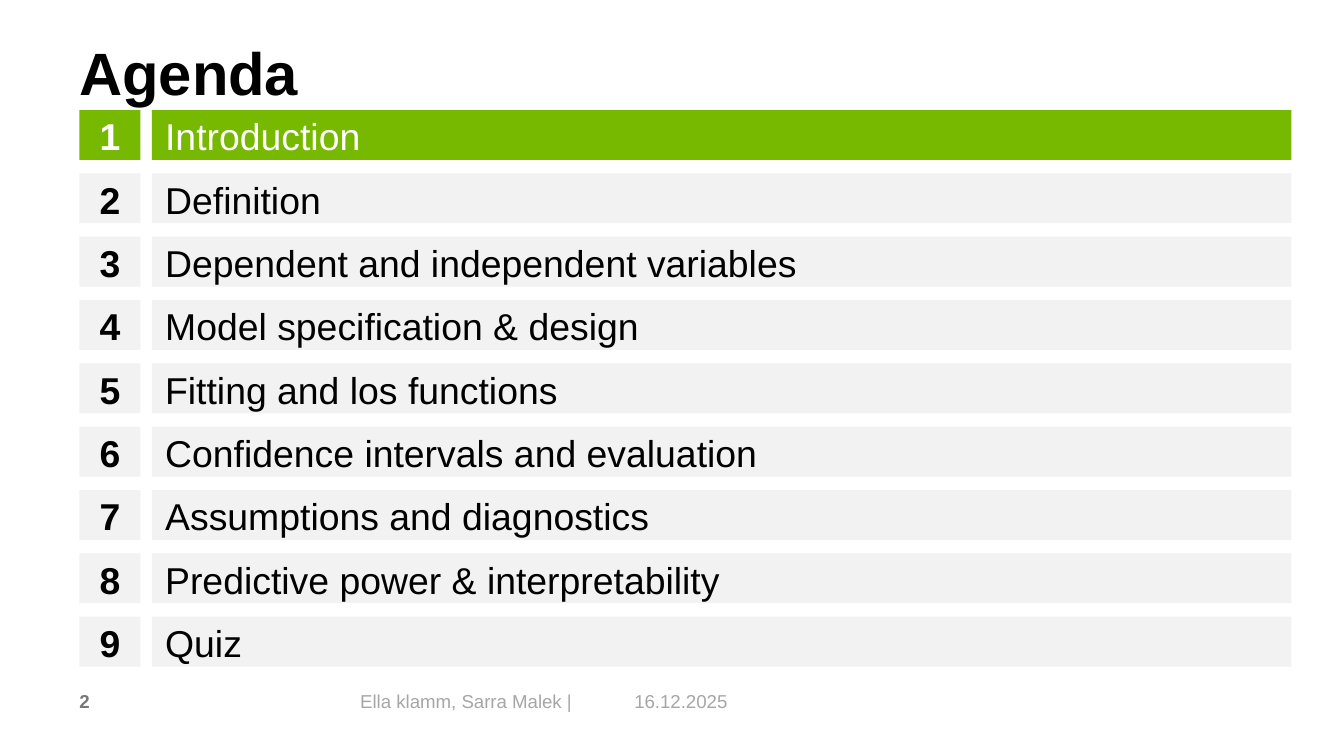
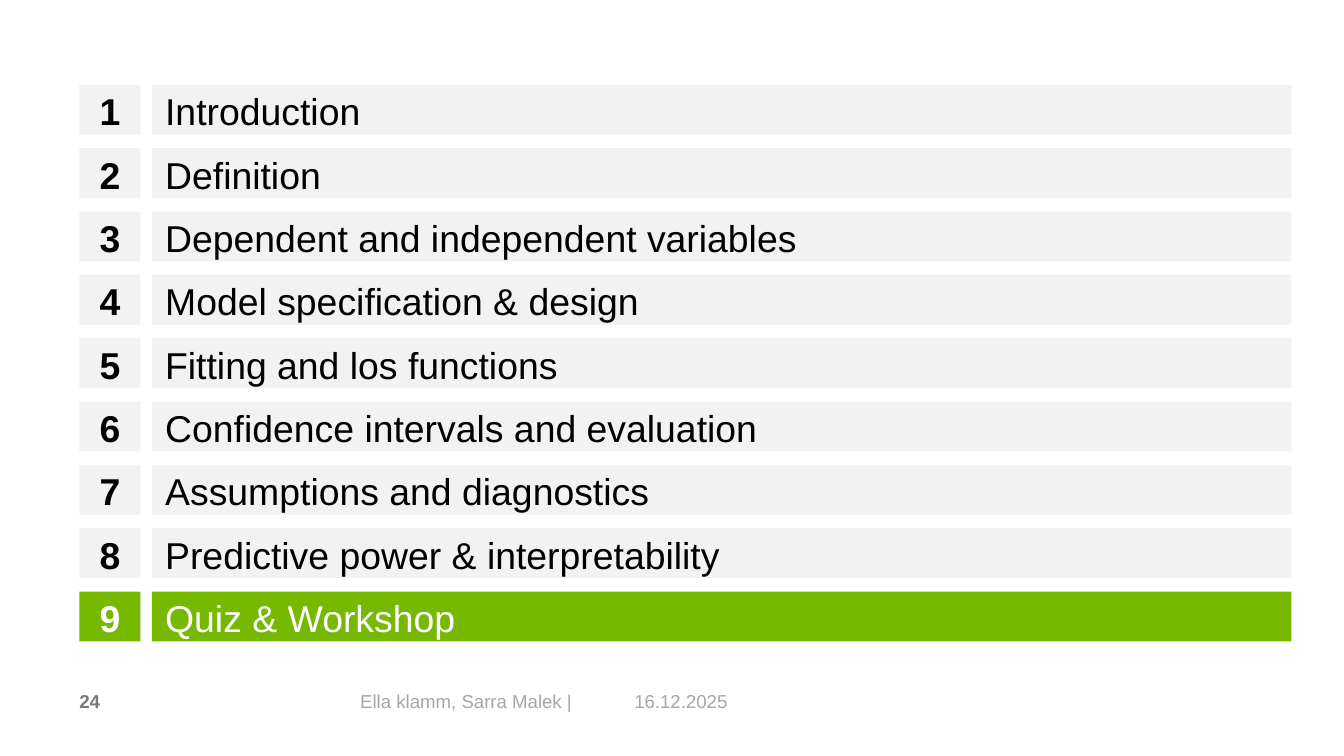
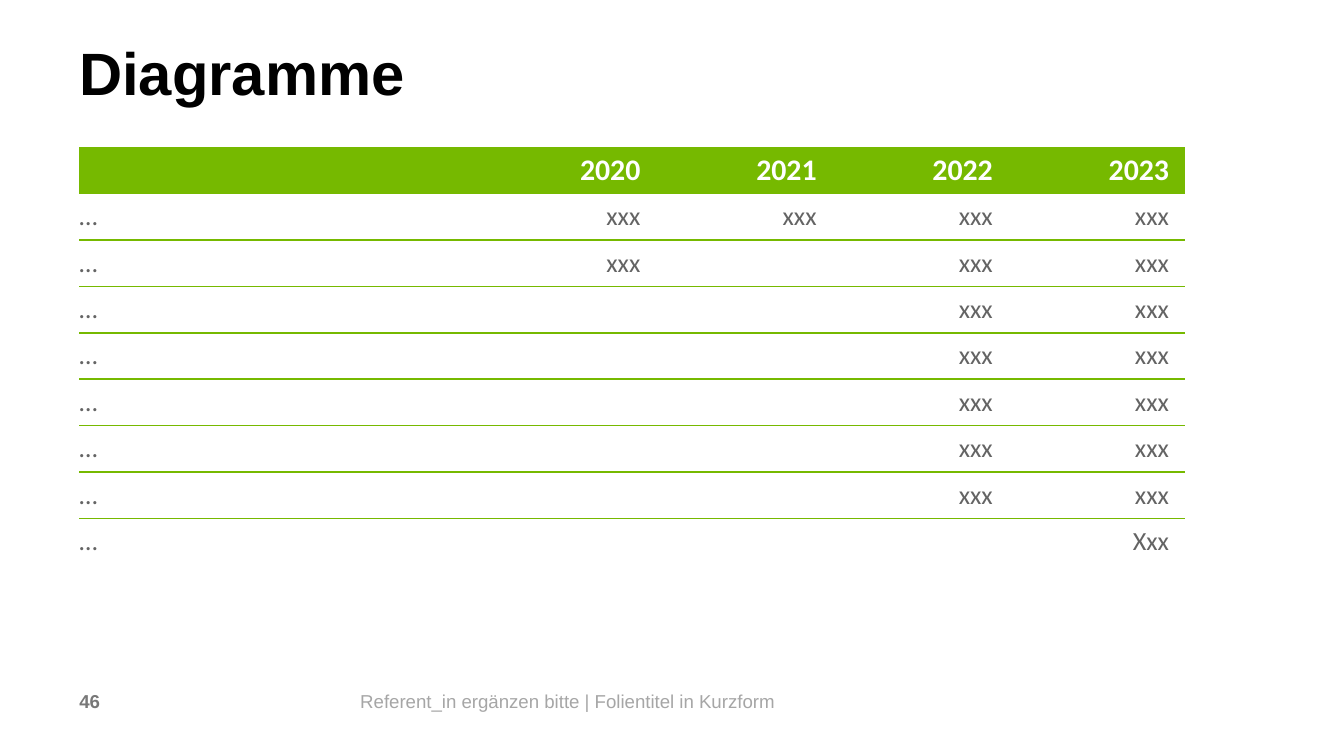
from dataclasses import dataclass
from typing import Any

from lxml.etree import SubElement
from pptx import Presentation
from pptx.dml.color import RGBColor
from pptx.enum.shapes import MSO_SHAPE as Preset
from pptx.enum.text import MSO_ANCHOR as Anchor, MSO_AUTO_SIZE as AutoSize, PP_ALIGN as Align
from pptx.oxml import parse_xml
from pptx.oxml.ns import nsdecls, qn
from pptx.util import Pt

GREEN, PALE = "76B900", "F2F2F2"
WHITE, BLACK = "FFFFFF", "000000"
LEFT = 42.5
PLAIN_TABLE = "{2D5ABB26-0587-4C30-8999-92F81FD0307C}"

TITLE = {"size": Pt(32), "name": "Arial", "bold": True, "color": BLACK}
PAGE_NUMBER = {"size": Pt(10), "name": "Arial", "bold": True, "color": "787878"}
FOOTER = {"size": Pt(10), "name": "Arial", "bold": False, "color": "A6A6A6"}
AGENDA = {"size": Pt(20), "name": "Arial"}
TABLE_HEAD = {"size": Pt(16), "name": "Calibri", "bold": True, "color": WHITE}
TABLE_BODY = {"size": Pt(14), "name": "Calibri", "bold": False, "color": "646464"}

TOPICS = [
    "Introduction",
    "Definition",
    "Dependent and independent variables",
    "Model specification & design",
    "Fitting and los functions",
    "Confidence intervals and evaluation",
    "Assumptions and diagnostics",
    "Predictive power & interpretability",
]
AUTHORS = "Ella klamm, Sarra Malek |\t16.12.2025"
DATE_TAB = 146.8


@dataclass(frozen=True)
class Area:
    left: float
    top: float
    width: float
    height: float

    def lengths(self) -> list[Pt]:
        return [Pt(value) for value in (self.left, self.top, self.width, self.height)]


@dataclass(frozen=True)
class Agenda:
    top: float
    topics: list[str]
    current: int


TITLE_AREA = Area(LEFT, 23.8, 592.6, 35.2)
NUMBER_AREA = Area(LEFT, 369.4, 136, 14.4)
FOOTER_AREA = Area(193, 369.4, 432, 14.4)
ROW_STEP, ROW_HEIGHT = 33.93, 26.7
NUMBER_WIDTH, TOPIC_LEFT, TOPIC_WIDTH = 32.8, 81.4, 610.4

TABLE_AREA = Area(LEFT, 78.8, 592.4, 223.92)
COLUMN_WIDTHS = [214.8] + [94.4] * 4
TABLE_ROWS = [
    ["", "2020", "2021", "2022", "2023"],
    ["…", "xxx", "xxx", "xxx", "xxx"],
    ["…", "xxx", "", "xxx", "xxx"],
    *[["…", "", "", "xxx", "xxx"]] * 5,
    ["…", "", "", "", "Xxx"],
]


def rgb(value: str) -> RGBColor:
    return RGBColor.from_string(value)


def write(para: Any, text: str, style: dict[str, Any]) -> None:
    span = para.add_run()
    span.text = text
    for name, value in style.items():
        if name == "color":
            span.font.color.rgb = rgb(value)
        else:
            setattr(span.font, name, value)


def add_text(page: Any, area: Area, text: str, style: dict[str, Any]) -> Any:
    """Add a text box without insets and return its frame."""
    frame = page.shapes.add_textbox(*area.lengths()).text_frame
    frame.word_wrap = True
    for side in ("left", "top", "right", "bottom"):
        setattr(frame, f"margin_{side}", 0)
    write(frame.paragraphs[0], text, style)
    return frame


def add_title(page: Any, text: str) -> None:
    frame = add_text(page, TITLE_AREA, text, TITLE)
    frame.auto_size = AutoSize.SHAPE_TO_FIT_TEXT
    frame.paragraphs[0].line_spacing = Pt(34)


def add_footer(page: Any, number: int, text: str) -> None:
    add_text(page, NUMBER_AREA, str(number), PAGE_NUMBER)
    para = add_text(page, FOOTER_AREA, text, FOOTER).paragraphs[0]
    if "\t" in text:
        tabs = SubElement(para._p.get_or_add_pPr(), qn("a:tabLst"))
        SubElement(tabs, qn("a:tab"), pos=str(Pt(DATE_TAB)), algn="l")


def add_bar(page: Any, area: Area, text: str, align: Align, bold: bool, active: bool) -> None:
    bar = page.shapes.add_shape(Preset.RECTANGLE, *area.lengths())
    bar.shadow.inherit = False
    bar.fill.solid()
    bar.fill.fore_color.rgb = rgb(GREEN if active else PALE)
    bar.line.fill.background()
    bar.text_frame.vertical_anchor = Anchor.MIDDLE
    para = bar.text_frame.paragraphs[0]
    layout = {"alignment": align, "line_spacing": Pt(25), "space_after": Pt(5.5)}
    for name, value in layout.items():
        setattr(para, name, value)
    write(para, text, AGENDA | {"bold": bold, "color": WHITE if active else BLACK})


def add_agenda(page: Any, agenda: Agenda) -> None:
    for index, topic in enumerate(agenda.topics):
        number = index + 1
        top = agenda.top + index * ROW_STEP
        active = number == agenda.current
        number_area = Area(LEFT, top, NUMBER_WIDTH, ROW_HEIGHT)
        topic_area = Area(TOPIC_LEFT, top, TOPIC_WIDTH, ROW_HEIGHT)
        add_bar(page, number_area, str(number), Align.CENTER, True, active)
        add_bar(page, topic_area, topic, Align.LEFT, False, active)


def add_bottom_line(cell: Any) -> None:
    line = parse_xml(
        f'<a:lnB {nsdecls("a")} w="{Pt(1)}"><a:solidFill>'
        f'<a:srgbClr val="{GREEN}"/></a:solidFill></a:lnB>'
    )
    cell._tc.get_or_add_tcPr().insert(0, line)


def fill_cell(cell: Any, text: str, is_head: bool, is_label: bool) -> None:
    layout = {
        "margin_left": Pt(0 if is_label else 8.6),
        "margin_right": Pt(8.6),
        "margin_top": Pt(2.6),
        "margin_bottom": Pt(2.6),
        "vertical_anchor": Anchor.MIDDLE,
    }
    for name, value in layout.items():
        setattr(cell, name, value)
    if is_head:
        cell.fill.solid()
        cell.fill.fore_color.rgb = rgb(GREEN)
    else:
        cell.fill.background()
    para = cell.text_frame.paragraphs[0]
    para.alignment = Align.LEFT if is_label else Align.RIGHT
    if text:
        write(para, text, TABLE_HEAD if is_head else TABLE_BODY)
    else:
        para._p.get_or_add_endParaRPr().set("sz", "1400")


def add_year_table(page: Any) -> None:
    row_count = len(TABLE_ROWS)
    frame = page.shapes.add_table(row_count, len(COLUMN_WIDTHS), *TABLE_AREA.lengths())
    table = frame.table
    table.horz_banding = False
    table._tbl.tblPr.find(qn("a:tableStyleId")).text = PLAIN_TABLE
    for column, width in zip(table.columns, COLUMN_WIDTHS):
        column.width = Pt(width)
    for row_index, texts in enumerate(TABLE_ROWS):
        table.rows[row_index].height = Pt(TABLE_AREA.height / row_count)
        for column_index, text in enumerate(texts):
            cell = table.cell(row_index, column_index)
            fill_cell(cell, text, row_index == 0, column_index == 0)
            if row_index < row_count - 1:
                add_bottom_line(cell)


def main() -> None:
    deck = Presentation()
    deck.slide_width, deck.slide_height = Pt(720), Pt(405)
    opening, closing, diagrams = [
        deck.slides.add_slide(deck.slide_layouts[6]) for _ in range(3)
    ]

    add_title(opening, "Agenda")
    add_agenda(opening, Agenda(59, TOPICS + ["Quiz"], 1))
    add_footer(opening, 2, AUTHORS)

    add_agenda(closing, Agenda(45.5, TOPICS + ["Quiz & Workshop"], 9))
    add_footer(closing, 24, AUTHORS)

    add_title(diagrams, "Diagramme")
    add_year_table(diagrams)
    add_footer(diagrams, 46, "Referent_in ergänzen bitte | Folientitel in Kurzform")

    deck.save("out.pptx")


if __name__ == "__main__":
    main()
